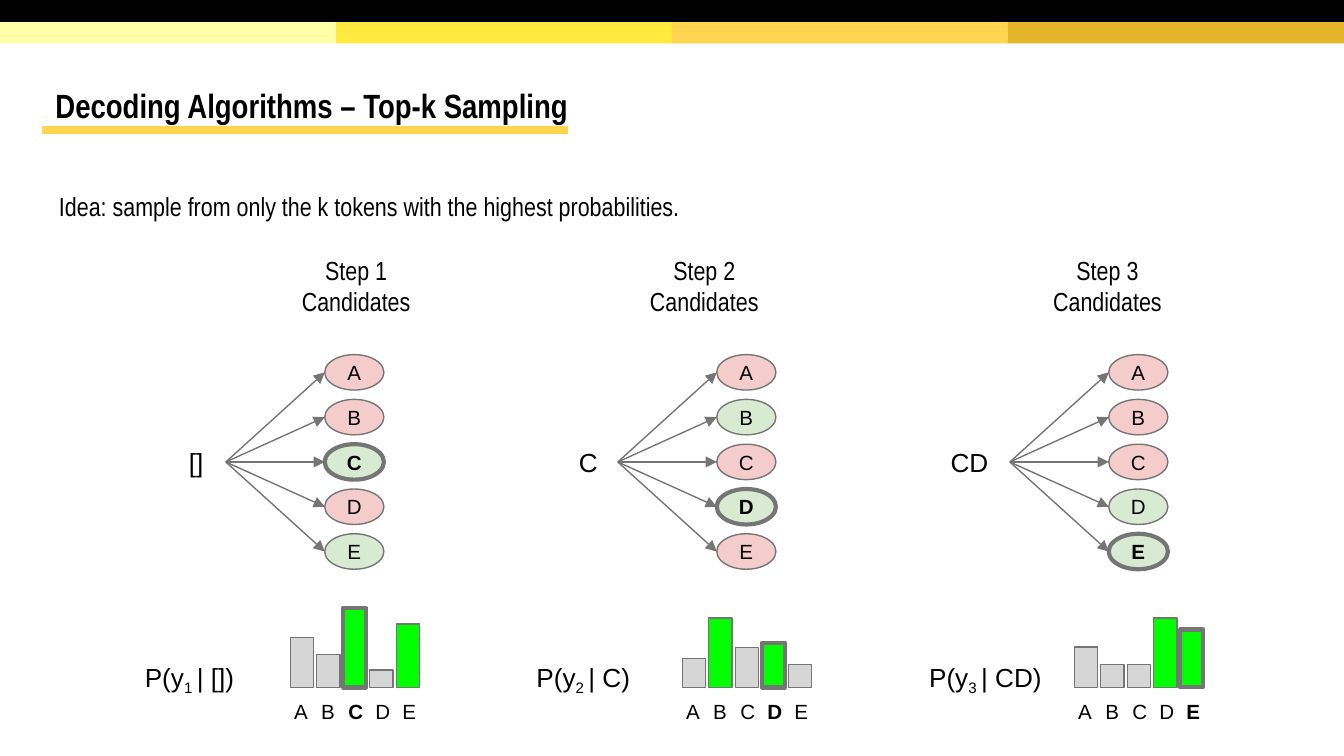
"""Build a slide that explains top-k sampling over three decoding steps."""
from dataclasses import dataclass

from lxml import etree
from pptx import Presentation
from pptx import util as u
from pptx.dml import color
from pptx.enum import shapes, text
from pptx.oxml import ns

Pt = u.Pt
LEFT, CENTER, RIGHT = text.PP_ALIGN.LEFT, text.PP_ALIGN.CENTER, text.PP_ALIGN.RIGHT
TOP, MIDDLE = text.MSO_ANCHOR.TOP, text.MSO_ANCHOR.MIDDLE
RECT, OVAL = shapes.MSO_SHAPE.RECTANGLE, shapes.MSO_SHAPE.OVAL

TOKENS = "ABCDE"
TOP_K = 2
STEP_PITCH = 210
CANDIDATE_LEFT, CANDIDATE_TOP, CANDIDATE_PITCH = 174, 190, 24
CANDIDATE_WIDTH, CANDIDATE_HEIGHT = 31.7, 19
FAN_LENGTH = 53
BAR_BASE, BAR_PITCH, BAR_WIDTH = 368.3, 14.2, 12.4
LABEL_PITCH = 14.5


@dataclass
class Step:
    """One decoding step with its prefix, choice and token probabilities."""
    prefix: str
    prefix_width: float
    chosen: str
    heights: tuple
    heading_left: float
    formula: str
    formula_left: float
    formula_width: float
    formula_align: object = LEFT


STEPS = [
    Step("[]", 31.7, "C", (26.8, 17.7, 42.5, 9.4, 34), 144.7,
         "P(y_1 _| [])", 70.5, 62.6),
    Step("C", 31.7, "D", (15.6, 37.2, 21.4, 24, 12.4), 331.2,
         "P(y_2 _| C)", 280.3, 74.2),
    Step("CD", 43.2, "E", (21.6, 12.4, 12.4, 37.2, 31), 547.2,
         "P(y_3 _| CD)", 481.7, 83.5, RIGHT),
]


def rgb(hex_code):
    """Turn a hex string into a colour."""
    return color.RGBColor.from_string(hex_code)


def write(frame, content, size=14, font="Arial", bold=False, ink="000000",
          align=LEFT, anchor=TOP, spacing=None, insets=(7.2, 7.2)):
    """Fill a frame, one paragraph a line, with subscripts between underscores."""
    frame.word_wrap = True
    frame.vertical_anchor = anchor
    frame.margin_left = frame.margin_right = Pt(insets[0])
    frame.margin_top = frame.margin_bottom = Pt(insets[1])
    for index, line in enumerate(content.split("\n")):
        paragraph = frame.add_paragraph() if index else frame.paragraphs[0]
        paragraph.alignment = align
        if spacing:
            paragraph.line_spacing = spacing
        for part, piece in enumerate(line.split("_")):
            run = paragraph.add_run()
            run.text = piece
            run.font.size, run.font.name, run.font.bold = Pt(size), font, bold
            run.font.color.rgb = rgb(ink)
            if part % 2:
                run.font._element.set("baseline", "-25000")


class SlideBuilder:
    """Holds the style and the current slide."""
    outline = "757575"
    thin, thick = 0.75, 2.25
    kept, dropped = "D9EAD3", "F4CCCC"
    kept_bar, dropped_bar = "00FF00", "D6D6D6"
    accent = "FFD54F"
    narrow = "Arial Narrow"

    def __init__(self, slide):
        self.slide = slide

    def block(self, kind, left, top, width, height, fill, weight=0):
        block = self.slide.shapes.add_shape(
            kind, Pt(left), Pt(top), Pt(width), Pt(height))
        block.shadow.inherit = False
        block.fill.solid()
        block.fill.fore_color.rgb = rgb(fill)
        if weight:
            block.line.color.rgb = rgb(self.outline)
            block.line.width = Pt(weight)
        else:
            block.line.fill.background()
        return block

    def label(self, left, top, width, height, content, **style):
        label = self.slide.shapes.add_textbox(
            Pt(left), Pt(top), Pt(width), Pt(height))
        write(label.text_frame, content, **style)
        return label

    def line(self, start, end, ink, weight, arrow=False):
        line = self.slide.shapes.add_connector(
            shapes.MSO_CONNECTOR.STRAIGHT, *map(Pt, start + end))
        line.line.color.rgb = rgb(ink)
        line.line.width = Pt(weight)
        if arrow:
            etree.SubElement(line.line._get_or_add_ln(),
                             ns.qn("a:tailEnd"), type="triangle")
        etree.SubElement(line._element.spPr, ns.qn("a:effectLst"))
        return line

    def step(self, number, step):
        left = CANDIDATE_LEFT + STEP_PITCH * (number - 1)
        fan_left = left - FAN_LENGTH
        cutoff = sorted(step.heights)[-TOP_K]
        prefix = self.label(fan_left - step.prefix_width, 229, step.prefix_width,
                            37, step.prefix, align=CENTER, anchor=MIDDLE)
        self.label(step.heading_left, 129, 92.2, 50, f"Step {number}\nCandidates",
                   font=self.narrow, align=CENTER)
        self.label(step.formula_left, 347, step.formula_width, 49.7,
                   step.formula, align=step.formula_align)
        for index, (token, height) in enumerate(zip(TOKENS, step.heights)):
            chosen, kept = token == step.chosen, height >= cutoff
            weight = self.thick if chosen else self.thin
            token_style = dict(size=11, bold=chosen, align=CENTER, anchor=MIDDLE)
            top = CANDIDATE_TOP + CANDIDATE_PITCH * index
            candidate = self.block(OVAL, left, top, CANDIDATE_WIDTH,
                                   CANDIDATE_HEIGHT,
                                   self.kept if kept else self.dropped, weight)
            write(candidate.text_frame, token, **token_style)
            branch = self.line((fan_left, 247.5), (left, top + CANDIDATE_HEIGHT / 2),
                               self.outline, self.thin, arrow=True)
            branch.begin_connect(prefix, 3)
            self.block(RECT, left - 18.5 + BAR_PITCH * index, BAR_BASE - height,
                       BAR_WIDTH, height,
                       self.kept_bar if kept else self.dropped_bar, weight)
            self.label(left - 23.5 + LABEL_PITCH * index, 375, 20.9, 12.2,
                       token, **token_style)


def main():
    """Draw the slide and save it."""
    deck = Presentation()
    deck.slide_width, deck.slide_height = Pt(720), Pt(405)
    builder = SlideBuilder(deck.slides.add_slide(deck.slide_layouts[6]))

    for index, shade in enumerate(("FFFFAA", "FFEA3D", "FFD54F", "E4B429")):
        builder.block(RECT, 180 * index, 11.7, 180, 11.6, shade)
    builder.block(RECT, 0, 0, 720, 11.7, "000000")

    for number, step in enumerate(STEPS, 1):
        builder.step(number, step)

    builder.label(24.5, 86.4, 584.6, 49.7,
                  "Idea: sample from only the k tokens with the highest probabilities.",
                  font=builder.narrow, spacing=1.5)
    builder.line((22.7, 69.7), (304.4, 69.7), builder.accent, 4.5)
    builder.label(24.5, 35.3, 671, 45.4, "Decoding Algorithms – Top-k Sampling",
                  size=18, font=builder.narrow, bold=True, anchor=MIDDLE,
                  spacing=0.85, insets=(5.2, 2.7))
    deck.save("out.pptx")


if __name__ == "__main__":
    main()
